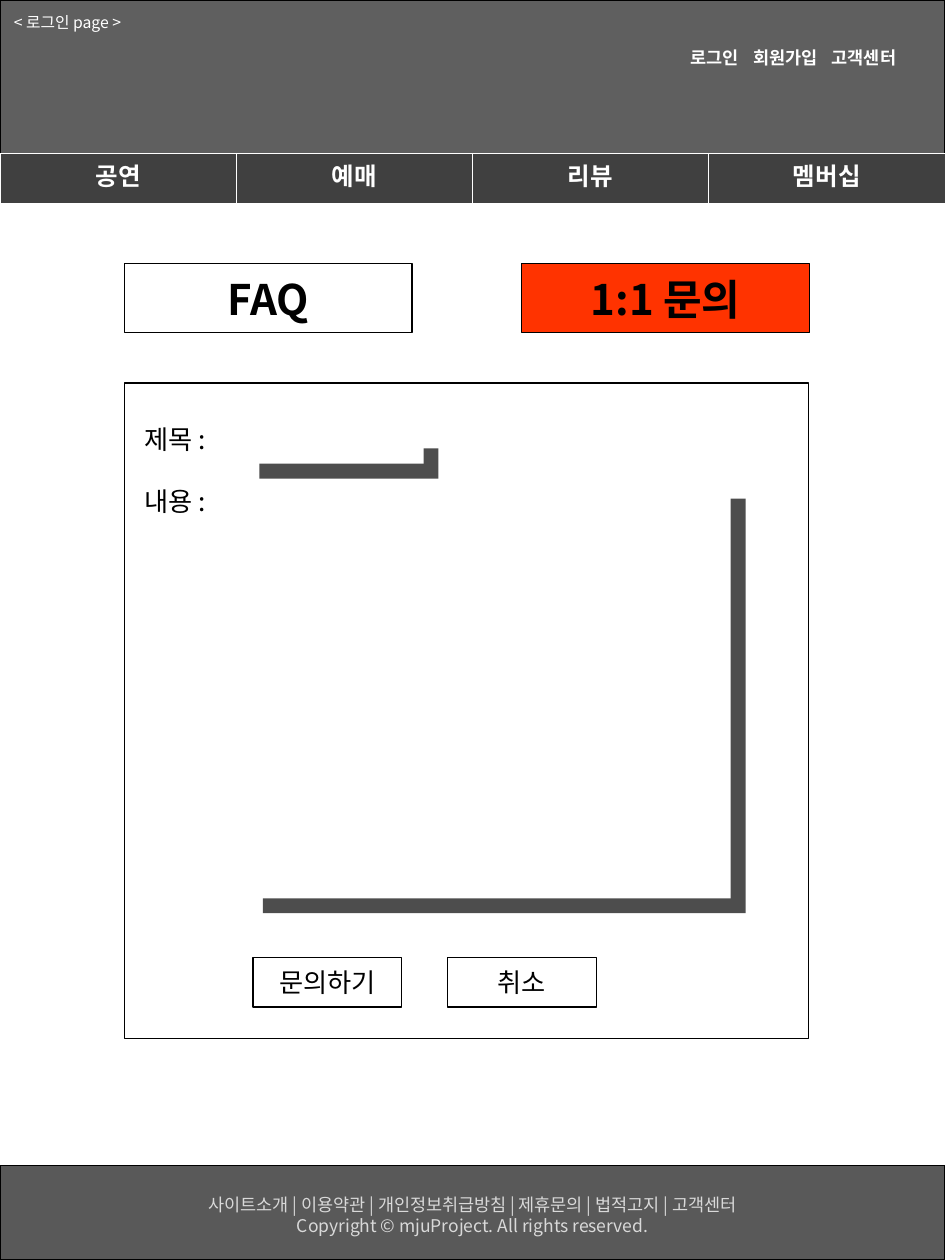
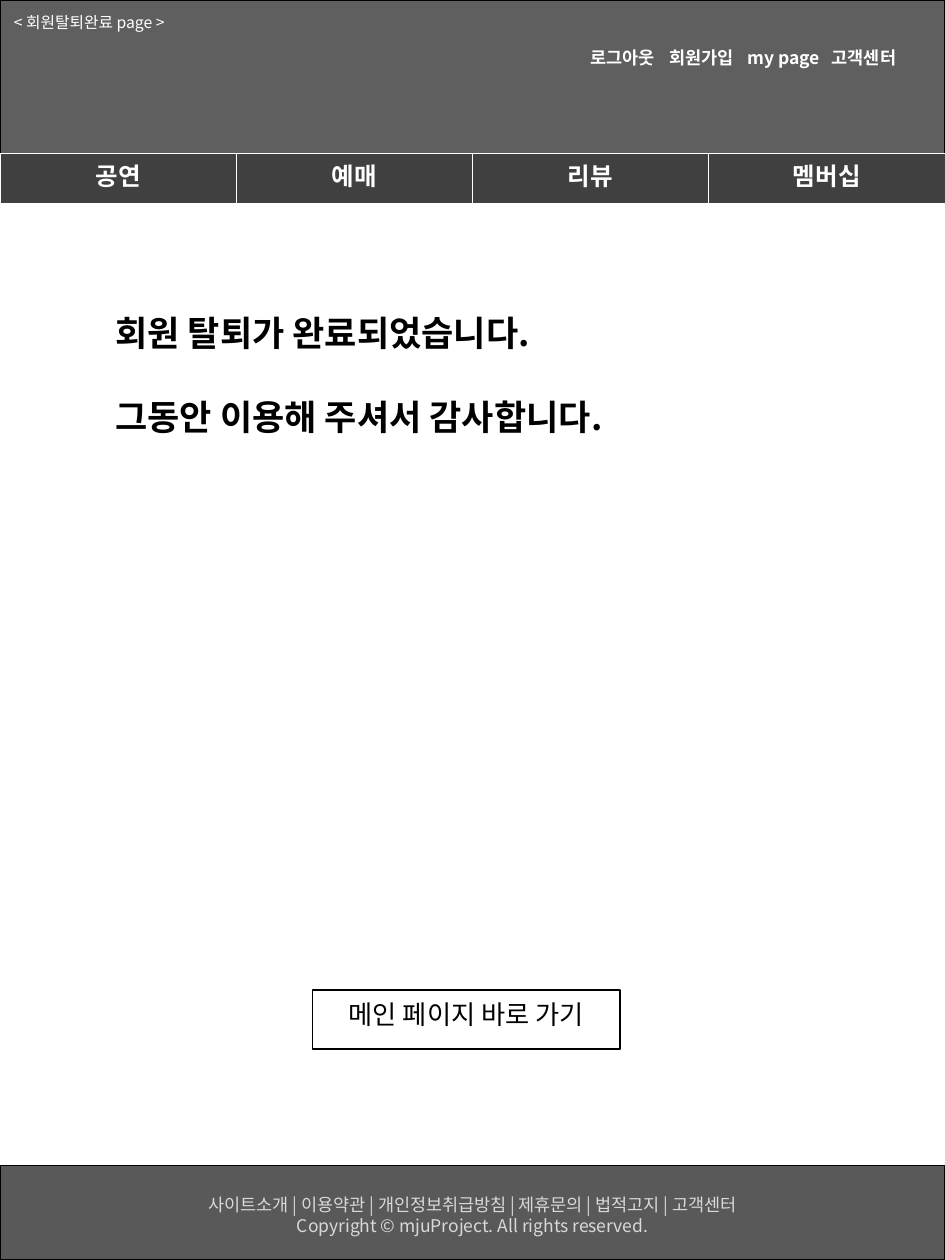
from lxml import etree
from pptx import Presentation
from pptx.dml.color import RGBColor
from pptx.enum.shapes import MSO_SHAPE
from pptx.enum.text import MSO_ANCHOR, MSO_AUTO_SIZE, PP_ALIGN
from pptx.oxml.ns import qn
from pptx.util import Cm, Pt

RECTANGLE = MSO_SHAPE.RECTANGLE
LEFT, CENTER = PP_ALIGN.LEFT, PP_ALIGN.CENTER
TOP, MIDDLE = MSO_ANCHOR.TOP, MSO_ANCHOR.MIDDLE
NO_AUTOFIT = MSO_AUTO_SIZE.NONE

FONT = "Noto Sans CJK KR"
BLACK, WHITE = "000000", "FFFFFF"
HEADER_GREY, MENU_GREY, FOOTER_GREY = "5F5F5F", "404040", "595959"
FOOTER_TEXT, SHADOW_GREY, ACTIVE_RED = "D9D9D9", "4D4D4D", "FF3300"
PAGE_WIDTH, PAGE_HEIGHT = 19.05, 25.4
HEADER_HEIGHT, MENU_HEIGHT, FOOTER_HEIGHT = 3.1, 1.02, 1.9
LINE_HEIGHT = 1.2
TOP_SHIFT = 0.08

MENU = ["공연", "예매", "리뷰", "멤버십"]
FOOTER = [
    "사이트소개 | 이용약관 | 개인정보취급방침 | 제휴문의 | 법적고지 | 고객센터",
    "Copyright © mjuProject. All rights reserved.",
]


def color(value):
    return RGBColor.from_string(value)


def add_child(parent, tag, **attributes):
    child = etree.SubElement(parent, qn(tag))
    for key, value in attributes.items():
        child.set(key, str(value))
    return child


def write_text(frame, text, size=15, ink=BLACK, bold=False, align=LEFT, anchor=TOP,
               inset_left=0.25, inset_right=0.25, inset_top=0.13, gap=0, tabs=()):
    frame.word_wrap = True
    frame.auto_size = NO_AUTOFIT
    frame.vertical_anchor = anchor
    frame.margin_left, frame.margin_right = Cm(inset_left), Cm(inset_right)
    frame.margin_top = Cm(inset_top) + Pt(size * TOP_SHIFT)
    frame.margin_bottom = Cm(0.13)
    lines = [text] if isinstance(text, str) else text
    for index, line in enumerate(lines):
        paragraph = frame.paragraphs[0] if index == 0 else frame.add_paragraph()
        paragraph.alignment = align
        paragraph.line_spacing = Pt(size * LINE_HEIGHT)
        paragraph.space_before = Pt(gap if index else 0)
        if tabs:
            stops = add_child(paragraph._p.get_or_add_pPr(), "a:tabLst")
            for stop in tabs:
                add_child(stops, "a:tab", pos=Cm(stop), algn="l")
        run = paragraph.add_run()
        run.text = line
        run.font.name = FONT
        run.font.size = Pt(size)
        run.font.bold = bold
        run.font.color.rgb = color(ink)
        add_child(run.font._element, "a:ea", typeface=FONT)


def add_box(slide, left, top, width, height, fill=WHITE, outline=BLACK, text=None, **style):
    box = slide.shapes.add_shape(RECTANGLE, Cm(left), Cm(top), Cm(width), Cm(height))
    box.shadow.inherit = False
    box.fill.solid()
    box.fill.fore_color.rgb = color(fill)
    if outline:
        box.line.color.rgb = color(outline)
        box.line.width = Pt(0.75)
    else:
        box.line.fill.background()
    if text:
        write_text(box.text_frame, text, **style)
    return box


def add_label(slide, left, top, width, height, text, **style):
    label = slide.shapes.add_textbox(Cm(left), Cm(top), Cm(width), Cm(height))
    write_text(label.text_frame, text, **style)


def add_input_field(slide, left, top, width, height):
    field = add_box(slide, left, top, width, height, outline=None)
    effects = field._element.spPr.find(qn("a:effectLst"))
    shadow = add_child(effects, "a:outerShdw", dist=Pt(12.1), dir=2700000,
                       algn="ctr", rotWithShape=0)
    add_child(shadow, "a:srgbClr", val=SHADOW_GREY)


def add_cell_border(cell, side, width):
    border = add_child(cell._tc.get_or_add_tcPr(), f"a:{side}", w=Pt(width))
    add_child(add_child(border, "a:solidFill"), "a:srgbClr", val=WHITE)


def add_menu(slide):
    menu = slide.shapes.add_table(1, len(MENU), 0, Cm(HEADER_HEIGHT),
                                  Cm(PAGE_WIDTH), Cm(MENU_HEIGHT)).table
    for cell, item in zip(menu.rows[0].cells, MENU):
        for side, width in (("lnL", 0.45), ("lnR", 0.45), ("lnT", 0.45), ("lnB", 1.47)):
            add_cell_border(cell, side, width)
        cell.fill.solid()
        cell.fill.fore_color.rgb = color(MENU_GREY)
        write_text(cell.text_frame, item, size=14, ink=WHITE, bold=True, align=CENTER)
        cell.vertical_anchor = TOP
        cell.margin_left = cell.margin_right = Cm(0.25)
        cell.margin_top, cell.margin_bottom = Cm(0.19), Cm(0.13)


def add_account_links(slide, left, width, links, inset, tabs):
    title = slide.shapes.title
    title.left, title.top = Cm(left), Cm(0.51)
    title.width, title.height = Cm(width), Cm(1.27)
    write_text(title.text_frame, "\t".join(links), size=10, ink=WHITE, bold=True,
               anchor=MIDDLE, inset_left=inset, inset_right=0, tabs=tabs)
    slide.shapes._spTree.append(title._element)


def add_page(deck, page_name, name_width, **account_links):
    slide = deck.slides.add_slide(deck.slide_layouts[5])
    add_box(slide, 0, 0, PAGE_WIDTH, HEADER_HEIGHT, fill=HEADER_GREY)
    add_account_links(slide, **account_links)
    add_menu(slide)
    add_box(slide, 0, PAGE_HEIGHT - FOOTER_HEIGHT, PAGE_WIDTH, FOOTER_HEIGHT,
            fill=FOOTER_GREY, text=FOOTER, size=10, ink=FOOTER_TEXT,
            align=CENTER, inset_top=0.54)
    add_label(slide, 0.03, 0, name_width, 0.89, f"< {page_name} page >",
              size=9, ink=WHITE, anchor=MIDDLE)
    return slide


def add_inquiry_page(deck):
    slide = add_page(deck, "로그인", 3.5, left=13.13, width=5.21,
                     links=["로그인", "회원가입", "고객센터"],
                     inset=0.78, tabs=(1.27, 2.86))
    for left, name, fill in ((2.51, "FAQ", WHITE), (10.52, "1:1 문의", ACTIVE_RED)):
        add_box(slide, left, 5.31, 5.8, 1.4, fill=fill, text=name,
                size=24, bold=True, align=CENTER)
    add_box(slide, 2.51, 7.72, 13.79, 13.21, text=["제목 :", "내용 :"],
            inset_left=0.4, inset_top=0.77, gap=17.4)
    add_input_field(slide, 4.93, 8.74, 3.61, 0.61)
    add_input_field(slide, 5, 9.75, 9.73, 8.36)
    for left, action in ((5.1, "문의하기"), (9.02, "취소")):
        add_box(slide, left, 19.3, 3, 1, text=action, align=CENTER)


def add_withdrawal_page(deck):
    slide = add_page(deck, "회원탈퇴완료", 4.09, left=8.76, width=9.58,
                     links=["로그아웃", "회원가입", "my page", "고객센터"],
                     inset=3.15, tabs=(1.59, 3.16, 4.86))
    add_label(slide, 2.08, 6.1, 14.66, 2.79,
              ["회원 탈퇴가 완료되었습니다.", "그동안 이용해 주셔서 감사합니다."],
              size=20, bold=True, gap=24)
    add_box(slide, 6.3, 19.96, 6.2, 1.19, text="메인 페이지 바로 가기", align=CENTER)


def main():
    deck = Presentation()
    deck.slide_width, deck.slide_height = Cm(PAGE_WIDTH), Cm(PAGE_HEIGHT)
    add_inquiry_page(deck)
    add_withdrawal_page(deck)
    deck.save("out.pptx")


if __name__ == "__main__":
    main()
